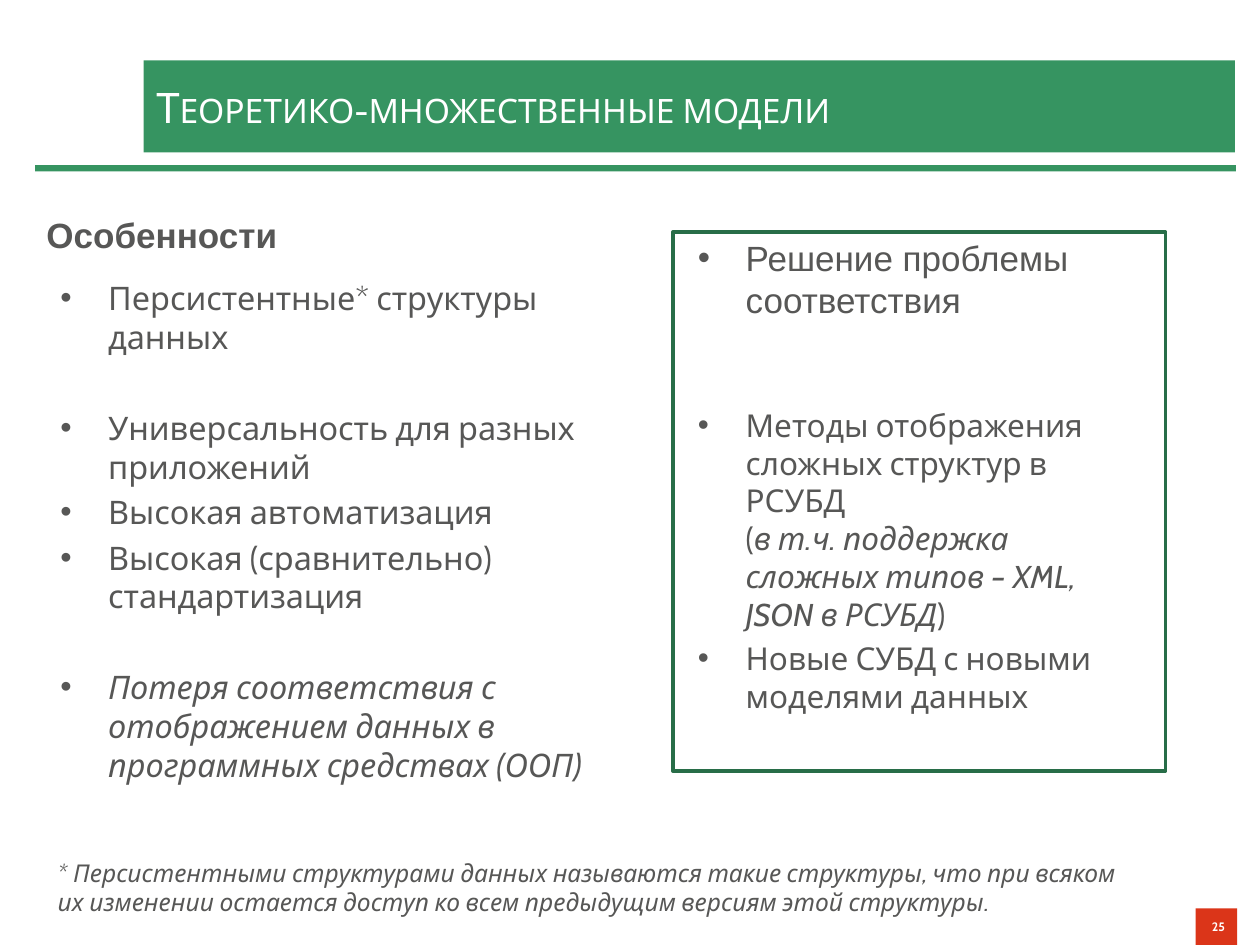
"""Build the slide on set-theoretic data models."""
from lxml.etree import SubElement
from pptx import Presentation
from pptx.dml.color import RGBColor
from pptx.enum.shapes import MSO_SHAPE
from pptx.enum.text import MSO_ANCHOR, MSO_AUTO_SIZE, PP_ALIGN
from pptx.oxml.ns import qn
from pptx.util import Inches, Pt

GREEN = RGBColor(0x36, 0x94, 0x61)
DARK_GREEN = RGBColor(0x28, 0x6D, 0x48)
RED = RGBColor(0xDB, 0x35, 0x19)
GREY = RGBColor(0x57, 0x57, 0x56)
WHITE = RGBColor(0xFF, 0xFF, 0xFF)

TITLE = "Теоретико-множественные модели"
HEADING = "Особенности"
PAGE = "25"
FOOTNOTE = ("* Персистентными структурами данных называются такие структуры, что при всяком "
            "их изменении остается доступ ко всем предыдущим версиям этой структуры.")

# Each bullet: (runs as (text, italic), starts a new group)
FEATURES = [
    ([("Персистентные* структуры данных", False)], False),
    ([("Универсальность для разных приложений", False)], True),
    ([("Высокая автоматизация", False)], False),
    ([("Высокая (сравнительно) стандартизация", False)], False),
    ([("Потеря соответствия с отображением данных в программных средствах (ООП)", True)], True),
]
PROBLEM = [([("Решение проблемы соответствия", False)], False)]
SOLUTIONS = [
    ([("Методы отображения сложных структур в РСУБД \n(", False),
      ("в т.ч. поддержка сложных типов – XML, JSON в РСУБД", True),
      (")", False)], False),
    ([("Новые СУБД с новыми моделями данных", False)], False),
]


def style(paragraph, size, color=GREY, name="Cabin", bold=False, italic=None):
    font = paragraph.font
    font.size, font.name, font.bold, font.italic = Pt(size), name, bold, italic
    font.color.rgb = color


def add_rect(slide, box, fill=None, line=None):
    rect = slide.shapes.add_shape(MSO_SHAPE.RECTANGLE, *map(Inches, box))
    rect.shadow.inherit = False
    if fill is None:
        rect.fill.background()
    else:
        rect.fill.solid()
        rect.fill.fore_color.rgb = fill
    if line is None:
        rect.line.fill.background()
    else:
        rect.line.color.rgb = line
        rect.line.width = Pt(2)
    return rect


def add_frame(slide, box, anchor=MSO_ANCHOR.MIDDLE):
    frame = slide.shapes.add_textbox(*map(Inches, box)).text_frame
    frame.word_wrap = True
    frame.vertical_anchor = anchor
    return frame


def add_line(slide, box, text, size, anchor=MSO_ANCHOR.MIDDLE, **look):
    paragraph = add_frame(slide, box, anchor).paragraphs[0]
    paragraph.text = text
    style(paragraph, size, **look)


def add_bullets(slide, box, bullets, size, anchor=MSO_ANCHOR.MIDDLE, name="Cabin"):
    frame = add_frame(slide, box, anchor)
    for index, (runs, new_group) in enumerate(bullets):
        paragraph = frame.add_paragraph() if index else frame.paragraphs[0]
        if index:
            paragraph.space_before = Pt(size * (1.6 if new_group else 0.2))
        properties = paragraph._p.get_or_add_pPr()
        properties.set("marL", str(Inches(0.38)))
        properties.set("indent", str(-Inches(0.38)))
        SubElement(properties, qn("a:buFont")).set("typeface", "Arial")
        SubElement(properties, qn("a:buChar")).set("char", "•")
        style(paragraph, size, name=name)
        for text, italic in runs:
            for part, piece in enumerate(text.split("\n")):
                if part:
                    paragraph.add_line_break()
                run = paragraph.add_run()
                run.text = piece
                run.font.italic = italic


def add_title(slide):
    title = slide.shapes.title
    title.left, title.top, title.width, title.height = map(Inches, (1.14, 0.48, 8.66, 0.73))
    title.fill.solid()
    title.fill.fore_color.rgb = GREEN
    frame = title.text_frame
    frame.auto_size = MSO_AUTO_SIZE.NONE
    frame.word_wrap = True
    frame.vertical_anchor = MSO_ANCHOR.MIDDLE
    frame.margin_top = frame.margin_bottom = Inches(0.12)
    paragraph = frame.paragraphs[0]
    paragraph.alignment = PP_ALIGN.LEFT
    style(paragraph, 24, WHITE)
    run = paragraph.add_run()
    run.text = TITLE
    run._r.get_or_add_rPr().set("cap", "small")


def add_page_number(slide):
    badge = add_rect(slide, (9.49, 7.21, 0.33, 0.29), RED)
    badge.text_frame.vertical_anchor = MSO_ANCHOR.MIDDLE
    paragraph = badge.text_frame.paragraphs[0]
    paragraph.text = PAGE
    paragraph.alignment = PP_ALIGN.RIGHT
    style(paragraph, 7, WHITE, bold=True)


def main():
    deck = Presentation()
    deck.slide_width, deck.slide_height = Inches(10), Inches(7.5)
    slide = deck.slides.add_slide(deck.slide_layouts[5])
    add_title(slide)
    add_rect(slide, (0.28, 1.31, 9.53, 0.05), GREEN)
    add_page_number(slide)
    add_line(slide, (0.27, 1.55, 4.58, 0.63), HEADING, 20, name="Arial", bold=True)
    add_bullets(slide, (0.38, 2.19, 4.58, 4.05), FEATURES, 18.5)
    add_bullets(slide, (5.44, 1.83, 3.64, 0.94), PROBLEM, 20, MSO_ANCHOR.TOP, "Arial")
    add_bullets(slide, (5.44, 3.1, 3.64, 2.69), SOLUTIONS, 18)
    add_line(slide, (0.36, 6.76, 8.72, 0.57), FOOTNOTE, 14, MSO_ANCHOR.TOP, italic=True)
    add_rect(slide, (5.34, 1.84, 3.91, 4.28), line=DARK_GREEN)
    deck.save("out.pptx")


if __name__ == "__main__":
    main()
